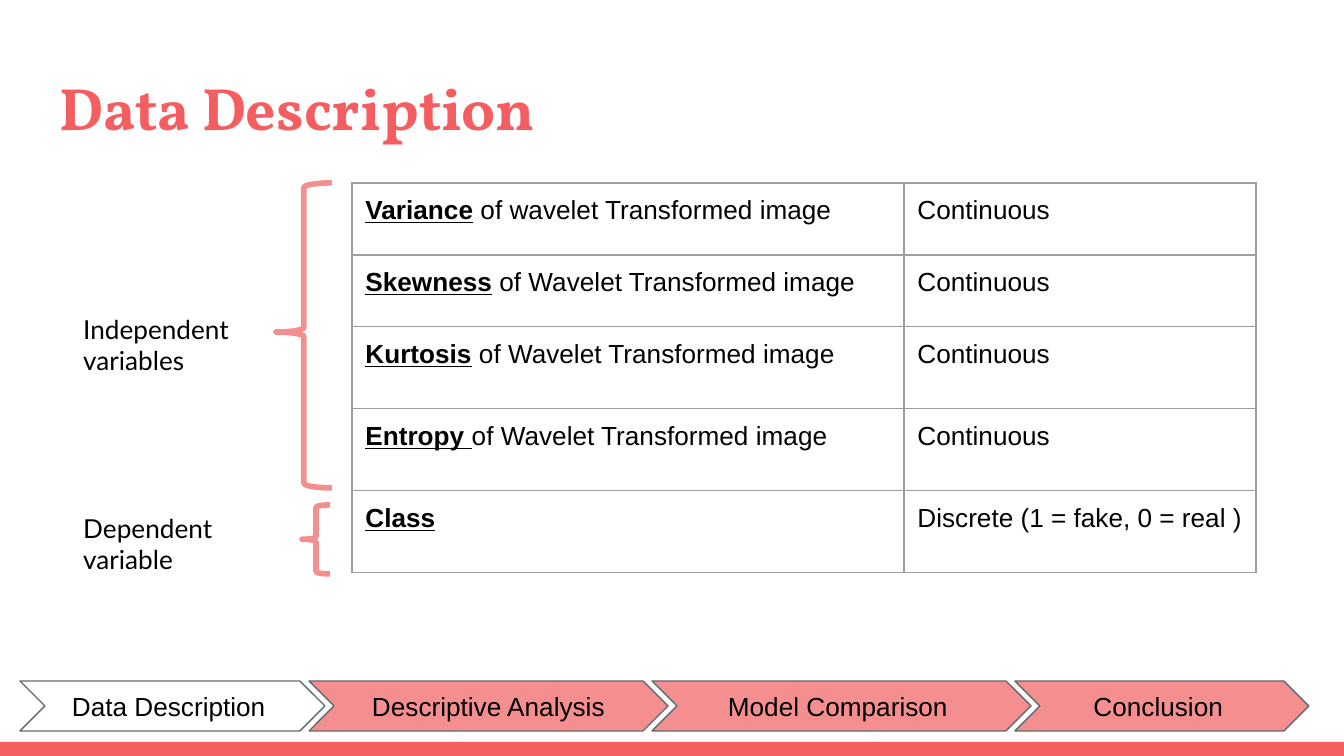
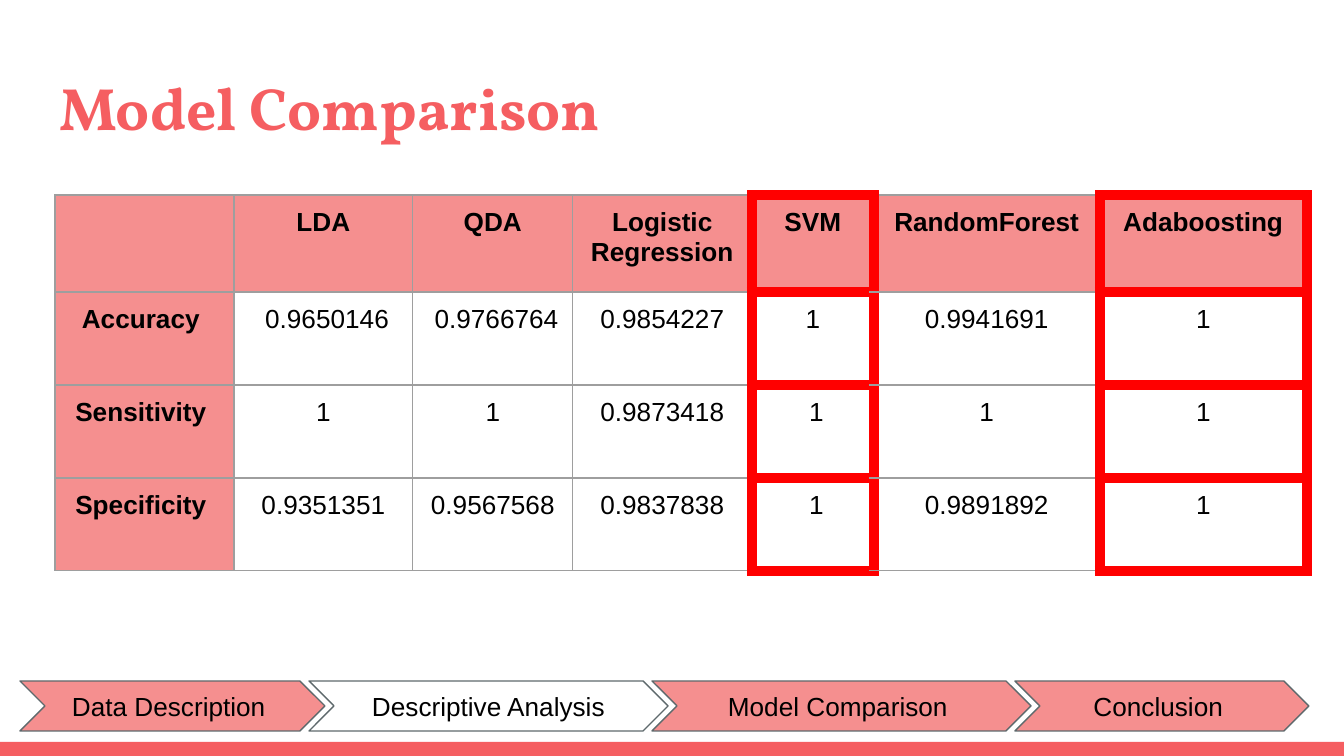
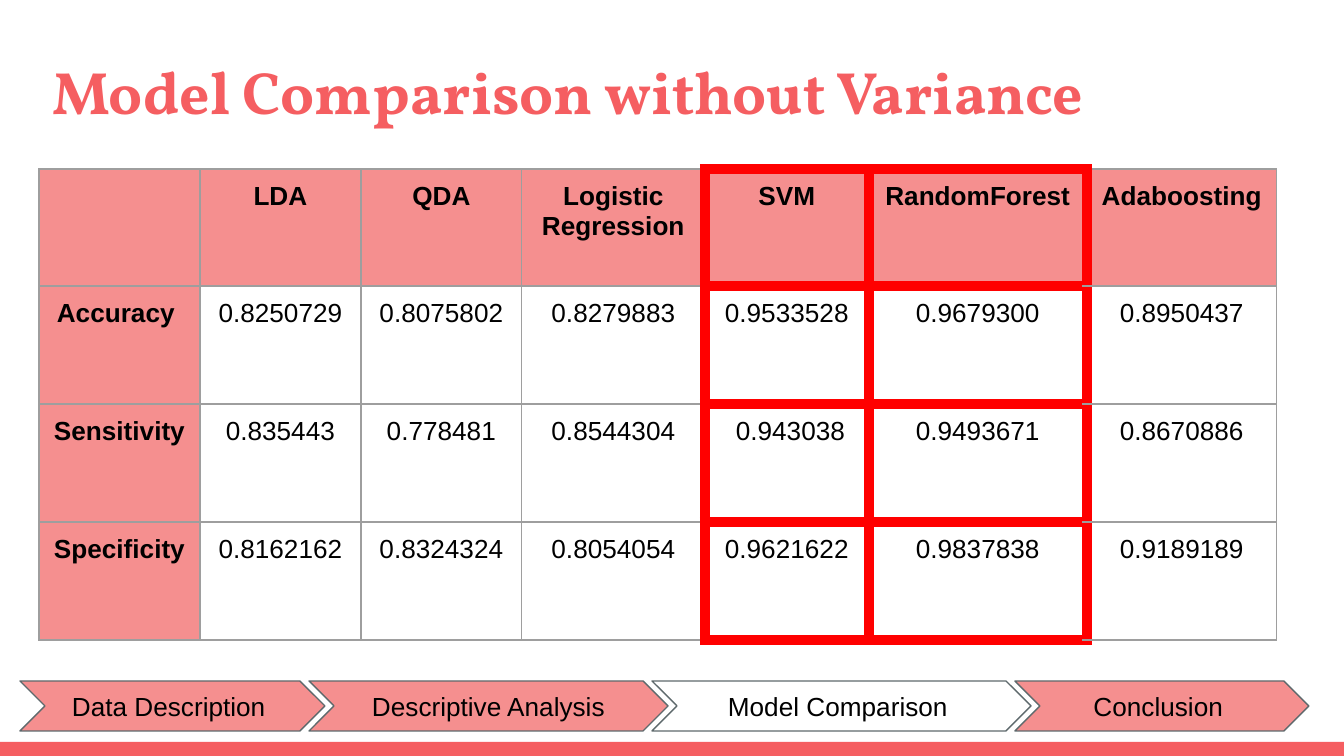
from lxml.etree import SubElement
from pptx import Presentation
from pptx.dml.color import RGBColor
from pptx.enum.shapes import MSO_SHAPE
from pptx.enum.text import MSO_ANCHOR, PP_ALIGN
from pptx.oxml.ns import qn
from pptx.util import Emu, Pt

EMU_PER_PX = 914400 / 134.4
COLORS = {
    "coral": "F55E61",
    "pink": "F58F8F",
    "outline": "5E696C",
    "grid": "9E9E9E",
    "mark": "FF0000",
    "text": "000000",
}
INSET = 13
STAGES = [("Data Description ", 305), ("Descriptive Analysis", 359),
          ("Model Comparison ", 379), ("Conclusion ", 294)]
STAGE_OVERLAP = 16
MODELS = ["", "LDA", "QDA", "Logistic Regression", "SVM", "RandomForest", "Adaboosting"]


def px(*lengths):
    return [Emu(round(length * EMU_PER_PX)) for length in lengths]


def format_runs(frame, font="Arial", size=14, color="text", bold=False, align=PP_ALIGN.LEFT):
    for paragraph in frame.paragraphs:
        paragraph.alignment = align
        for run in paragraph.runs:
            run.font.name = font
            run.font.size = Pt(size)
            run.font.bold = bold
            run.font.color.rgb = RGBColor.from_string(COLORS[color])


prs = Presentation()
prs.slide_width, prs.slide_height = px(1344, 756)

# Title, stage bar and bottom band; each slide leaves one stage unfilled
titles = [
    ("Data Description", (46, 58, 1253, 91)),
    ("Model Comparison", (46, 58, 1253, 91)),
    ("Model Comparison without Variance", (39, 42, 1253, 85)),
]
slides = []
for current, (title, place) in enumerate(titles):
    slide = prs.slides.add_slide(prs.slide_layouts[6])
    slides.append(slide)

    band = slide.shapes.add_shape(MSO_SHAPE.RECTANGLE, *px(0, 742, 1344, 14))
    band.shadow.inherit = False
    band.fill.solid()
    band.fill.fore_color.rgb = RGBColor.from_string(COLORS["coral"])
    band.line.fill.background()

    heading = slide.shapes.add_textbox(*px(*place)).text_frame
    heading.word_wrap = True
    heading.margin_top, heading.margin_bottom = px(INSET, INSET)
    heading.text = title
    format_runs(heading, "Vollkorn", 32, "coral", bold=True)

    left = 20
    for number, (stage, width) in enumerate(STAGES):
        step = slide.shapes.add_shape(MSO_SHAPE.CHEVRON, *px(left, 681, width, 50))
        step.shadow.inherit = False
        if number == current:
            step.fill.background()
        else:
            step.fill.solid()
            step.fill.fore_color.rgb = RGBColor.from_string(COLORS["pink"])
        step.line.color.rgb = RGBColor.from_string(COLORS["outline"])
        step.line.width = Pt(0.75)
        step.text_frame.vertical_anchor = MSO_ANCHOR.MIDDLE
        step.text_frame.text = stage
        format_runs(step.text_frame, align=PP_ALIGN.CENTER)
        left += width - STAGE_OVERLAP

# Variable groups beside the description table
groups = [
    ("Independent variables", (70, 300, 179, 70), (276, 183, 56, 305), 0.489),
    ("Dependent variable", (70, 499, 163, 39), (302, 505, 28, 69), 0.498),
]
for group, label_place, brace_place, tip in groups:
    label = slides[0].shapes.add_textbox(*px(*label_place)).text_frame
    label.word_wrap = True
    label.margin_top, label.margin_bottom = px(INSET, INSET)
    label.text = group
    format_runs(label, "Lato")

    brace = slides[0].shapes.add_shape(MSO_SHAPE.LEFT_BRACE, *px(*brace_place))
    brace.shadow.inherit = False
    brace.adjustments[0], brace.adjustments[1] = 0.083, tip
    brace.fill.background()
    brace.line.color.rgb = RGBColor.from_string(COLORS["pink"])
    brace.line.width = Pt(3)

# Tables: a tuple in a cell is an underlined key term and the words after it
tables = [
    {
        "origin": (352, 183),
        "columns": [552, 352],
        "heights": [72, 72, 82, 82, 82],
        "marked": [],
        "headers": False,
        "rows": [
            [("Variance", " of wavelet Transformed image"), "Continuous"],
            [("Skewness", " of Wavelet Transformed image"), "Continuous"],
            [("Kurtosis", " of Wavelet Transformed image"), "Continuous"],
            [("Entropy ", "of Wavelet Transformed image"), "Continuous"],
            [("Class", ""), "Discrete (1 = fake, 0 = real )"],
        ],
    },
    {
        "origin": (55, 195),
        "columns": [179, 179, 160, 179, 122, 226, 207],
        "heights": [97, 93, 93, 93],
        "marked": [4, 6],
        "headers": True,
        "rows": [
            MODELS,
            ["Accuracy ", " 0.9650146", " 0.9766764", "0.9854227", "1", "0.9941691", "1"],
            ["Sensitivity ", "1", "1", "0.9873418", " 1", "1", "1"],
            ["Specificity ", "0.9351351", "0.9567568", "0.9837838", " 1", "0.9891892", "1"],
        ],
    },
    {
        "origin": (39, 169),
        "columns": [161, 161, 161, 183, 164, 218, 190],
        "heights": [117, 118, 118, 118],
        "marked": [4, 5],
        "headers": True,
        "rows": [
            MODELS,
            ["Accuracy ", "0.8250729", "0.8075802", "0.8279883", "0.9533528", "0.9679300",
             "0.8950437"],
            ["Sensitivity ", "0.835443", "0.778481", "0.8544304", " 0.943038", "0.9493671",
             "0.8670886"],
            ["Specificity ", "0.8162162", "0.8324324", "0.8054054", "0.9621622", "0.9837838",
             "0.9189189"],
        ],
    },
]
for slide, spec_table in zip(slides, tables):
    columns, heights = spec_table["columns"], spec_table["heights"]
    marked, headers = spec_table["marked"], spec_table["headers"]
    grid = slide.shapes.add_table(
        len(heights), len(columns),
        *px(*spec_table["origin"], sum(columns), sum(heights))).table
    grid.first_row = grid.horz_banding = False
    for column, width in zip(grid.columns, px(*columns)):
        column.width = width
    for row, height in zip(grid.rows, px(*heights)):
        row.height = height

    for r, values in enumerate(spec_table["rows"]):
        for c, value in enumerate(values):
            cell = grid.cell(r, c)
            cell.margin_top, cell.margin_bottom = px(INSET, INSET)
            is_header = headers and (r == 0 or c == 0)
            align = PP_ALIGN.CENTER if headers else PP_ALIGN.LEFT
            term, rest = value if isinstance(value, tuple) else ("", value)
            cell.text_frame.text = term or rest
            if term and rest:
                cell.text_frame.paragraphs[0].add_run().text = rest
            format_runs(cell.text_frame, bold=is_header, align=align)
            if term:
                term_font = cell.text_frame.paragraphs[0].runs[0].font
                term_font.bold = term_font.underline = True

            # A vertical edge is marked when either column beside it is
            inside = c in marked
            edges = {"lnL": inside or c - 1 in marked, "lnR": inside or c + 1 in marked,
                     "lnT": inside, "lnB": inside}
            properties = cell._tc.get_or_add_tcPr()
            for edge, is_marked in edges.items():
                line = SubElement(properties, qn(f"a:{edge}"),
                                  w=str(Pt(6 if is_marked else 0.75)))
                paint = SubElement(line, qn("a:solidFill"))
                SubElement(paint, qn("a:srgbClr"), val=COLORS["mark" if is_marked else "grid"])
            if is_header:
                cell.fill.solid()
                cell.fill.fore_color.rgb = RGBColor.from_string(COLORS["pink"])
            else:
                cell.fill.background()

prs.save("out.pptx")
